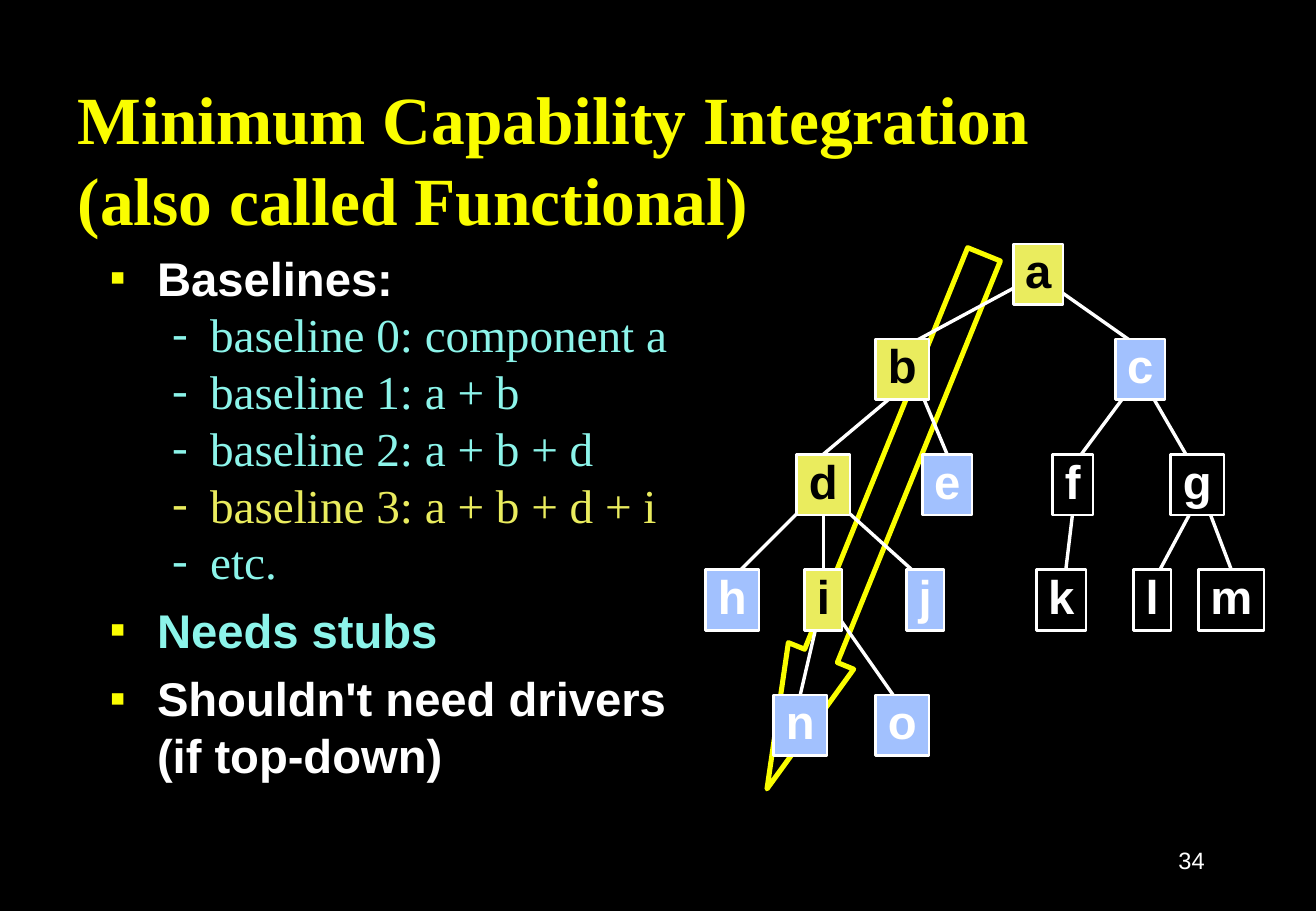
from lxml.etree import SubElement
from pptx import Presentation
from pptx.dml.color import RGBColor
from pptx.enum.shapes import MSO_CONNECTOR, MSO_SHAPE
from pptx.enum.text import MSO_ANCHOR, PP_ALIGN
from pptx.oxml.ns import qn
from pptx.util import Pt

COLORS = {"black": "000000", "white": "FFFFFF", "yellow": "FAFD00",
          "aqua": "8CF4EA", "gold": "EAEC5E", "blue": "A2C1FE"}
SERIF, SANS = "Times New Roman", "Arial"


def rgb(name):
    return RGBColor.from_string(COLORS[name])


def write(p, text, size=28, font=SANS, color="white", bold=True,
          align=PP_ALIGN.LEFT, spacing=1.0, before=0,
          bullet=None, bullet_color="yellow", bullet_size=100, indent=(0, 0)):
    """Fill a paragraph; indent is (left margin, hanging width) in points."""
    p.text = text
    p.alignment = align
    p.line_spacing = spacing
    p.space_before = Pt(before)
    for r in p.runs:
        r.font.size = Pt(size)
        r.font.name = font
        r.font.bold = bold
        r.font.color.rgb = rgb(color)
    if bullet:
        pPr = p._p.get_or_add_pPr()
        pPr.set("marL", str(Pt(indent[0])))
        pPr.set("indent", str(-Pt(indent[1])))
        clr = SubElement(pPr, qn("a:buClr"))
        SubElement(clr, qn("a:srgbClr"), val=COLORS[bullet_color])
        SubElement(pPr, qn("a:buSzPct"), val=str(bullet_size * 1000))
        SubElement(pPr, qn("a:buFont"), typeface=font)
        SubElement(pPr, qn("a:buChar"), char=bullet)


prs = Presentation()
prs.slide_width, prs.slide_height = Pt(780.25), Pt(540)
s = prs.slides.add_slide(prs.slide_layouts[6])
s.background.fill.solid()
s.background.fill.fore_color.rgb = rgb("black")

# Bulleted list: (text, level, colour)
body = [
    ("Baselines:", 0, "white"),
    ("baseline 0: component a", 1, "aqua"),
    ("baseline 1: a + b", 1, "aqua"),
    ("baseline 2: a + b + d", 1, "aqua"),
    ("baseline 3: a + b + d + i", 1, "gold"),
    ("etc.", 1, "aqua"),
    ("Needs stubs", 0, "aqua"),
    ("Shouldn't need drivers\v(if top-down)", 0, "white"),
]
tf = s.shapes.add_textbox(Pt(58.5), Pt(144), Pt(663), Pt(336)).text_frame
tf.word_wrap = True
for n, (text, level, color) in enumerate(body):
    p = tf.add_paragraph() if n else tf.paragraphs[0]
    if level:
        write(p, text, font=SERIF, color=color, bold=False,
              bullet="-", bullet_color=color, indent=(59, 22.5))
    else:
        write(p, text, color=color, before=7,
              bullet="■", bullet_size=50, indent=(27.5, 27.5))

# Order of integration
arrow = s.shapes.add_shape(MSO_SHAPE.DOWN_ARROW, Pt(498.2), Pt(138.2), Pt(41.8), Pt(342))
arrow.adjustments[0], arrow.adjustments[1] = 0.5, 2.035
arrow.rotation = 22.1
arrow.shadow.inherit = False
arrow.fill.solid()
arrow.fill.fore_color.rgb = rgb("black")
arrow.line.color.rgb = rgb("yellow")
arrow.line.width = Pt(3)

# Title
tf = s.shapes.add_textbox(Pt(39), Pt(42), Pt(663), Pt(48)).text_frame
tf.word_wrap = True
write(tf.paragraphs[0], "Minimum Capability Integration\v(also called Functional)",
      size=40, font=SERIF, color="yellow")

# Tree edges, named by the lower node: (x1, y1, x2, y2)
edges = {
    "b": (610.6, 165.6, 537.1, 205.2), "c": (618.5, 165.6, 676.8, 206.6),
    "d": (532.8, 231.8, 483.1, 273.6), "e": (545.8, 231.8, 563.8, 273.6),
    "f": (677.5, 220.3, 637.9, 273.6), "g": (676.8, 223.9, 705.6, 273.6),
    "h": (486.7, 290.2, 431.3, 345.6), "i": (488.9, 300.2, 488.9, 342),
    "j": (499, 300.2, 549.4, 345.6), "k": (637.2, 293.8, 631.4, 342),
    "l": (707.8, 300.2, 685.4, 342), "m": (712.8, 292.3, 732.2, 347.8),
    "n": (487.4, 356.4, 472.3, 417.6), "o": (489.6, 355, 535, 419.8),
}
links = {}
for name, ends in edges.items():
    link = s.shapes.add_connector(MSO_CONNECTOR.STRAIGHT, *map(Pt, ends))
    link.line.color.rgb = rgb("white")
    link.line.width = Pt(2)
    SubElement(link._element.spPr, qn("a:effectLst"))
    links[name] = link

# Tree nodes by level: top, then (name, left, width)
levels = [
    (144.7, [("a", 600.8, 29.5)]),
    (200.9, [("b", 519.1, 31.7), ("c", 661.2, 29.5)]),
    (269.3, [("d", 472.3, 31.7), ("e", 546.8, 29.5), ("f", 624.2, 23.8), ("g", 694.1, 31.7)]),
    (337.7, [("h", 418.3, 31.7), ("i", 477, 22.3), ("j", 537.4, 22.3),
             ("k", 614.4, 29.5), ("l", 672, 22.3), ("m", 710.6, 38.9)]),
    (412, [("n", 458.6, 31.7), ("o", 519.1, 31.7)]),
]
fills = dict.fromkeys("abdi", "gold") | dict.fromkeys("cehjno", "blue")
nodes = {}
for top, row in levels:
    for name, left, width in row:
        sp = s.shapes.add_shape(MSO_SHAPE.RECTANGLE, Pt(left), Pt(top), Pt(width), Pt(36))
        sp.shadow.inherit = False
        fill = fills.get(name, "black")
        sp.fill.solid()
        sp.fill.fore_color.rgb = rgb(fill)
        sp.line.color.rgb = rgb("white")
        sp.line.width = Pt(1.5)
        tf = sp.text_frame
        tf.word_wrap = False
        tf.vertical_anchor = MSO_ANCHOR.MIDDLE
        write(tf.paragraphs[0], name, color="black" if fill == "gold" else "white",
              align=PP_ALIGN.CENTER, spacing=0.85)
        nodes[name] = sp

# Edges that meet the middle of a side
links["i"].begin_connect(nodes["d"], 2)
for name in "deimn":
    links[name].end_connect(nodes[name], 0)

# Slide number
tf = s.shapes.add_textbox(Pt(558.7), Pt(491.8), Pt(162.7), Pt(36)).text_frame
tf.word_wrap = True
tf.vertical_anchor = MSO_ANCHOR.MIDDLE
write(tf.paragraphs[0], "34", size=14, bold=False, align=PP_ALIGN.RIGHT)

prs.save("out.pptx")
